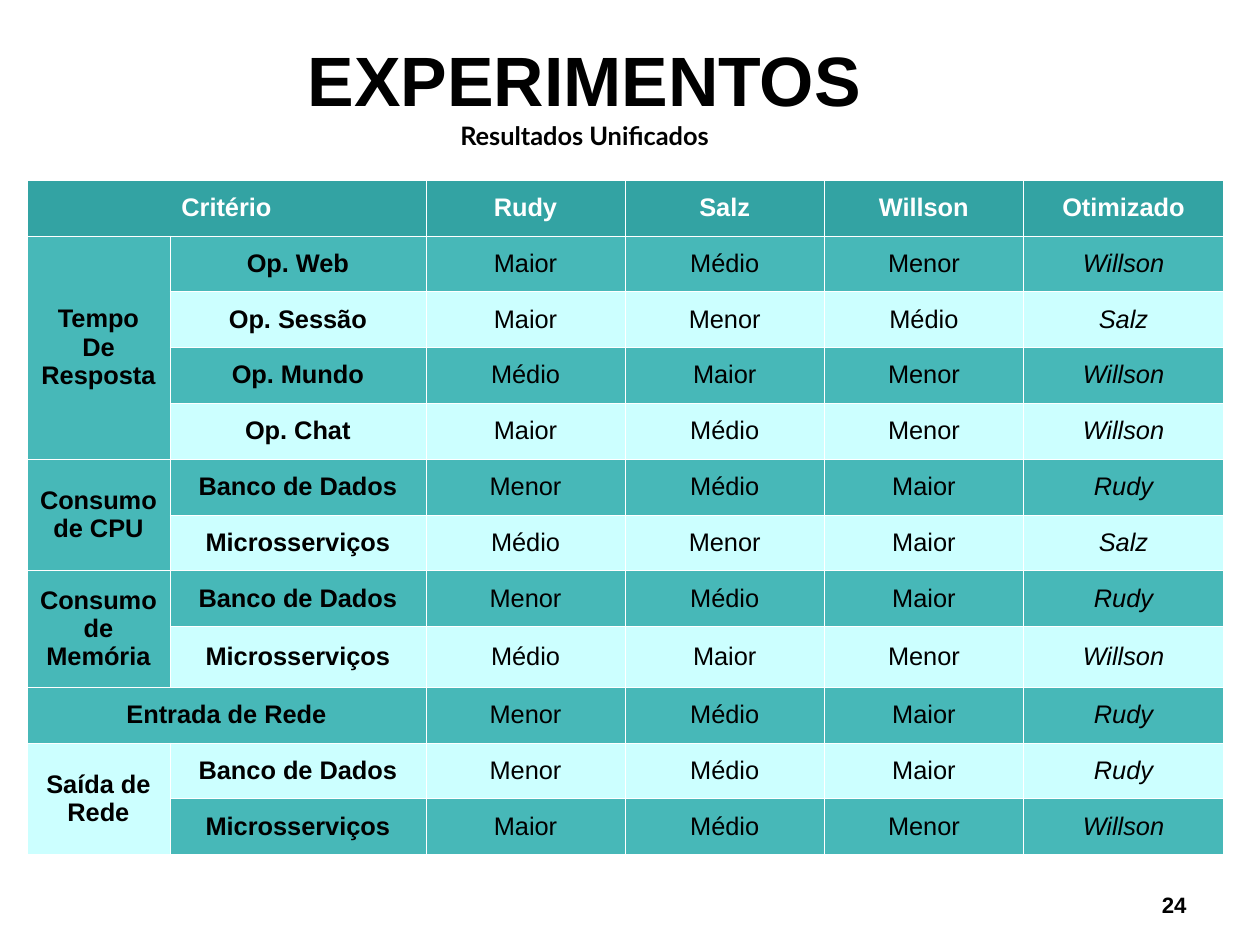
import pptx
import pptx.util
import pptx.dml.color
import pptx.enum.text
import pptx.oxml
import pptx.oxml.ns

Pt = pptx.util.Pt
RGBColor = pptx.dml.color.RGBColor
CENTER = pptx.enum.text.PP_ALIGN.CENTER
MIDDLE = pptx.enum.text.MSO_ANCHOR.MIDDLE

# Content
HEADING = "EXPERIMENTOS"
SUBHEADING = "Resultados Unificados"
PAGE_NUMBER = "24"
HEADERS = ("Critério", "", "Rudy", "Salz", "Willson", "Otimizado")
# Each criterion: label, then rows of (item, Rudy, Salz, Willson, best)
CRITERIA = [
    ("Tempo\nDe Resposta", [
        ("Op. Web", "Maior", "Médio", "Menor", "Willson"),
        ("Op. Sessão", "Maior", "Menor", "Médio", "Salz"),
        ("Op. Mundo", "Médio", "Maior", "Menor", "Willson"),
        ("Op. Chat", "Maior", "Médio", "Menor", "Willson"),
    ]),
    ("Consumo\nde CPU", [
        ("Banco de Dados", "Menor", "Médio", "Maior", "Rudy"),
        ("Microsserviços", "Médio", "Menor", "Maior", "Salz"),
    ]),
    ("Consumo de Memória", [
        ("Banco de Dados", "Menor", "Médio", "Maior", "Rudy"),
        ("Microsserviços", "Médio", "Maior", "Menor", "Willson"),
    ]),
    ("Entrada de Rede", [
        ("", "Menor", "Médio", "Maior", "Rudy"),
    ]),
    ("Saída de Rede", [
        ("Banco de Dados", "Menor", "Médio", "Maior", "Rudy"),
        ("Microsserviços", "Maior", "Médio", "Menor", "Willson"),
    ]),
]

# Style
BLACK = RGBColor(0x00, 0x00, 0x00)
WHITE = RGBColor(0xFF, 0xFF, 0xFF)
HEADER_TEAL = RGBColor(0x33, 0xA3, 0xA3)
BAND_TEAL = RGBColor(0x47, 0xB8, 0xB8)
BAND_LIGHT = RGBColor(0xCC, 0xFF, 0xFF)
COLUMN_WIDTHS = (90, 161.3, 125.5, 125.5, 125.5, 126)
ROW_HEIGHT = 35.15
TALL_ROW, TALL_HEIGHT = 8, 38.15
BORDER_WIDTH = 0.06
BEST_COLUMN = len(HEADERS) - 1


def style_font(font, size, name="Arial", color=BLACK, bold=True, italic=False):
    font.size, font.name = Pt(size), name
    font.bold, font.italic = bold, italic
    font.color.rgb = color


def clear_margins(frame):
    frame.margin_left = frame.margin_right = 0
    frame.margin_top = frame.margin_bottom = 0
    frame.word_wrap = True


def add_borders(cell):
    properties = cell._tc.get_or_add_tcPr()
    for side in ("lnL", "lnR", "lnT", "lnB"):
        properties.append(pptx.oxml.parse_xml(
            f'<a:{side} {pptx.oxml.ns.nsdecls("a")} w="{Pt(BORDER_WIDTH)}">'
            f'<a:solidFill><a:srgbClr val="{WHITE}"/></a:solidFill></a:{side}>'))


def fill_cell(cell, text, fill, **font_style):
    add_borders(cell)
    cell.fill.solid()
    cell.fill.fore_color.rgb = fill
    cell.vertical_anchor = MIDDLE
    cell.text = text
    for paragraph in cell.text_frame.paragraphs:
        paragraph.alignment = CENTER
        style_font(paragraph.font, 16, **font_style)


deck = pptx.Presentation()
deck.slide_width, deck.slide_height = Pt(793.75), Pt(595.25)
slide = deck.slides.add_slide(deck.slide_layouts[5])

# Title with subtitle line
title = slide.shapes.title
title.left, title.top, title.width, title.height = Pt(39.6), Pt(9.4), Pt(657.4), Pt(99.4)
title_frame = title.text_frame
clear_margins(title_frame)
title_frame.auto_size = pptx.enum.text.MSO_AUTO_SIZE.NONE
title_frame.vertical_anchor = MIDDLE
title_line = title_frame.paragraphs[0]
title_line.alignment = CENTER
heading = title_line.add_run()
heading.text = HEADING
style_font(heading.font, 44)
title_line.add_line_break()
subheading = title_line.add_run()
subheading.text = SUBHEADING
style_font(subheading.font, 16, name="Lato")

# Results table
row_count = 1 + sum(len(rows) for _, rows in CRITERIA)
results = slide.shapes.add_table(
    row_count, len(HEADERS), Pt(17), Pt(113.3), Pt(sum(COLUMN_WIDTHS)),
    Pt(ROW_HEIGHT * (row_count - 1) + TALL_HEIGHT)).table
results.first_row = results.horz_banding = False
for column, width in zip(results.columns, COLUMN_WIDTHS):
    column.width = Pt(width)
for index, row in enumerate(results.rows):
    row.height = Pt(TALL_HEIGHT if index == TALL_ROW else ROW_HEIGHT)

for column, header in enumerate(HEADERS):
    fill_cell(results.cell(0, column), header, HEADER_TEAL, color=WHITE)
results.cell(0, 0).merge(results.cell(0, 1))

first = 1
for label, rows in CRITERIA:
    for offset, values in enumerate(rows):
        index = first + offset
        band = BAND_TEAL if index % 2 else BAND_LIGHT
        for column, value in enumerate((label if offset == 0 else "", *values)):
            fill_cell(results.cell(index, column), value, band,
                      bold=column < 2, italic=column == BEST_COLUMN)
    # A criterion without items spans both label columns
    last_column = 0 if rows[0][0] else 1
    results.cell(first, 0).merge(results.cell(first + len(rows) - 1, last_column))
    first += len(rows)

# Page number
page = slide.shapes.add_textbox(Pt(691.5), Pt(561.3), Pt(96.5), Pt(18.7))
clear_margins(page.text_frame)
page_line = page.text_frame.paragraphs[0]
page_line.text = PAGE_NUMBER
page_line.alignment = CENTER
style_font(page_line.font, 14)

deck.save("out.pptx")
